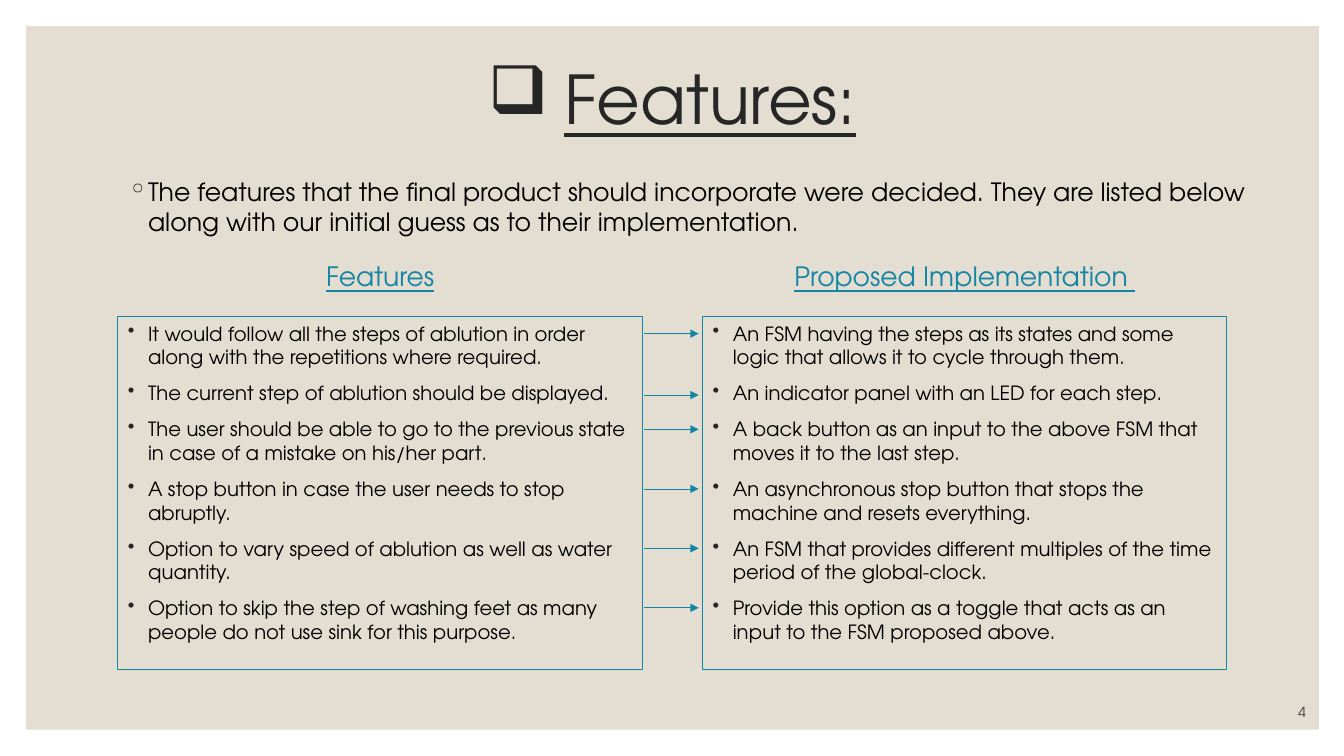
from lxml import etree
from pptx import Presentation
from pptx.dml.color import RGBColor
from pptx.enum.shapes import MSO_CONNECTOR as LINE, MSO_SHAPE as SHAPE
from pptx.enum.text import MSO_ANCHOR as ANCHOR, PP_ALIGN as ALIGN
from pptx.oxml.ns import qn
from pptx.util import Inches, Pt

FONT = "TeX Gyre Adventor"
COLORS = {"panel": "E3DED1", "title": "262626", "accent": "1485A4",
          "body": "000000", "number": "404040"}


def color(name):
    return RGBColor.from_string(COLORS[name])


def add_text(paragraphs, left, top, width, height, size, ink="body", align=ALIGN.LEFT,
             anchor=ANCHOR.TOP, underline=False, bullet=None, indent=0.2,
             before=0, spacing=None, border=None):
    box = slide.shapes.add_textbox(Inches(left), Inches(top), Inches(width), Inches(height))
    if border:
        box.line.color.rgb = color(border)
        box.line.width = Pt(0.75)
    frame = box.text_frame
    frame.word_wrap = True
    frame.vertical_anchor = anchor
    for i, text in enumerate(paragraphs):
        paragraph = frame.add_paragraph() if i else frame.paragraphs[0]
        paragraph.alignment = align
        paragraph.space_before = Pt(before)
        if spacing:
            paragraph.line_spacing = spacing
        run = paragraph.add_run()
        run.text = text
        run.font.name = FONT
        run.font.size = Pt(size)
        run.font.underline = underline
        run.font.color.rgb = color(ink)
        if bullet:
            properties = paragraph._p.get_or_add_pPr()
            properties.set("marL", str(Inches(indent)))
            properties.set("indent", str(-Inches(indent)))
            bullet_color = etree.SubElement(properties, qn("a:buClr"))
            etree.SubElement(bullet_color, qn("a:srgbClr"), val=COLORS["title"])
            etree.SubElement(properties, qn("a:buChar"), char=bullet)


presentation = Presentation()
presentation.slide_width = Inches(13.33)
presentation.slide_height = Inches(7.5)
slide = presentation.slides.add_slide(presentation.slide_layouts[6])

panel = slide.shapes.add_shape(SHAPE.RECTANGLE, Inches(0.26), Inches(0.26),
                               Inches(12.82), Inches(6.98))
panel.shadow.inherit = False
panel.fill.solid()
panel.fill.fore_color.rgb = color("panel")
panel.line.fill.background()

add_text(["Features:"], 1.17, 0.27, 11, 1.5, 48, ink="title", align=ALIGN.CENTER,
         anchor=ANCHOR.MIDDLE, underline=True, bullet="❑", indent=0.75, spacing=0.9)

columns = [
    (1.17, "Features", [
        "It would follow all the steps of ablution in order along with the repetitions where required.",
        "The current step of ablution should be displayed.",
        "The user should be able to go to the previous state in case of a mistake on his/her part.",
        "A stop button in case the user needs to stop abruptly.",
        "Option to vary speed of ablution as well as water quantity.",
        "Option to skip the step of washing feet as many people do not use sink for this purpose.",
    ]),
    (6.97, "Proposed Implementation ", [
        "An FSM having the steps as its states and some logic that allows it to cycle through them.",
        "An indicator panel with an LED for each step.",
        "A back button as an input to the above FSM that moves it to the last step.",
        "An asynchronous stop button that stops the machine and resets everything.",
        "An FSM that provides different multiples of the time period of the global-clock.",
        "Provide this option as a toggle that acts as an input to the FSM proposed above.",
    ]),
]
for left, heading, items in columns:
    add_text([heading], left, 2.39, 5.2, 0.7, 19, ink="accent", align=ALIGN.CENTER,
             anchor=ANCHOR.MIDDLE, underline=True)
    add_text(items, left, 3.14, 5.2, 3.5, 14, bullet="•", before=9, border="accent")

add_text(["The features that the final product should incorporate were decided. "
          "They are listed below along with our initial guess as to their implementation."],
         1.17, 1.7, 11.6, 0.86, 18, bullet="◦", before=9)

for y in (3.31, 3.92, 4.26, 4.85, 5.44, 6.03):
    arrow = slide.shapes.add_connector(LINE.STRAIGHT, Inches(6.39), Inches(y),
                                       Inches(6.93), Inches(y))
    arrow.line.color.rgb = color("accent")
    arrow.line.width = Pt(0.5)
    etree.SubElement(arrow.line._get_or_add_ln(), qn("a:tailEnd"), type="triangle")
    etree.SubElement(arrow._element.spPr, qn("a:effectLst"))

add_text(["4"], 11.45, 6.9, 1.6, 0.3, 10, ink="number", align=ALIGN.RIGHT,
         anchor=ANCHOR.BOTTOM)

presentation.save("out.pptx")
